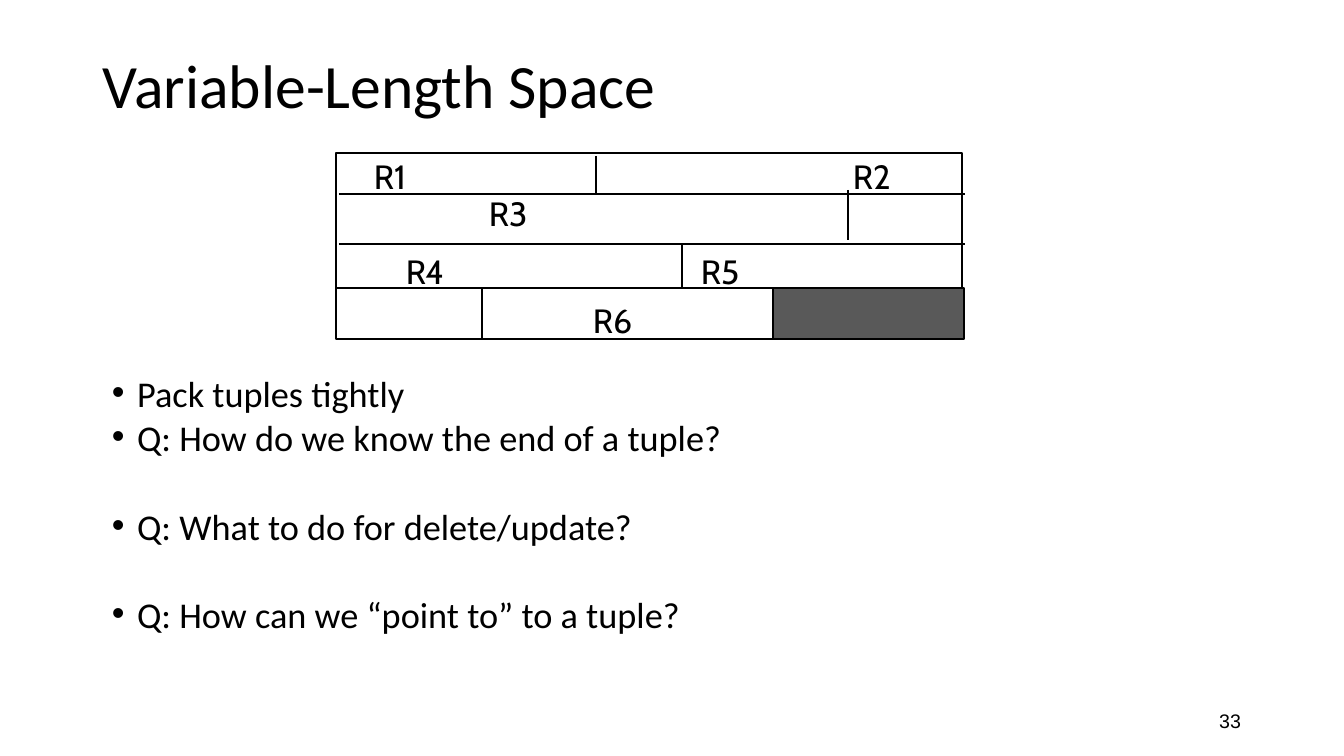
"""Builds the slide on variable-length space: packed records above three questions."""
from lxml import etree
from pptx import Presentation
from pptx import util as u
from pptx.dml.color import RGBColor
from pptx.enum import shapes, text
from pptx.oxml.ns import qn

BLACK, WHITE, GRAY = "000000", "FFFFFF", "595959"
TITLE = ("Variable-Length Space", (93, 34, 1159, 110))
PAGE_NUMBER = ("33", (949, 701, 302, 40))
QUESTIONS_BOX = (102, 378, 1024, 294)
QUESTIONS = [
    ("Pack tuples tightly", 0),
    ("Q: How do we know the end of a tuple?", 10),
    ("Q: What to do for delete/update?", 41.5),
    ("Q: How can we “point to” to a tuple?", 41.5),
]
PAGE = (336, 153, 626, 186)
FREE_SPACE = (773, 288, 191, 51)
ROW_LINES = [(339, 965, 194), (339, 965, 244), (337, 963, 288)]
RECORD_ENDS = [(596, 156, 194), (848, 190, 240), (682, 244, 288),
               (482, 288, 339), (773, 288, 339)]
RECORDS = [("R1", 364, 151), ("R2", 843, 151), ("R3", 479, 188),
           ("R4", 396, 246), ("R5", 691, 246), ("R6", 583, 295)]
RECORD_SIZE = (75, 50)


def px(length):
    return u.Emu(round(length * 914400 / 100.8))


def rgb(value):
    return RGBColor.from_string(value)


def add_rect(slide, place, fill):
    rect = slide.shapes.add_shape(shapes.MSO_SHAPE.RECTANGLE, *map(px, place))
    rect.shadow.inherit = False
    rect.fill.solid()
    rect.fill.fore_color.rgb = rgb(fill)
    rect.line.color.rgb = rgb(BLACK)
    rect.line.width = u.Pt(2)


def add_line(slide, *ends):
    line = slide.shapes.add_connector(shapes.MSO_CONNECTOR.STRAIGHT, *map(px, ends))
    line.line.color.rgb = rgb(BLACK)
    line.line.width = u.Pt(2)
    etree.SubElement(line._element.spPr, qn("a:effectLst"))


def add_frame(slide, place, anchor=text.MSO_ANCHOR.TOP):
    frame = slide.shapes.add_textbox(*map(px, place)).text_frame
    frame.word_wrap = True
    frame.vertical_anchor = anchor
    return frame


def write(paragraph, words, size, font):
    paragraph.text = words
    paragraph.font.size = u.Pt(size)
    paragraph.font.name = font
    paragraph.font.color.rgb = rgb(BLACK)


def add_bullet(paragraph):
    props = paragraph._p.get_or_add_pPr()
    props.set("marL", str(u.Inches(0.25)))
    props.set("indent", str(-u.Inches(0.25)))
    etree.SubElement(props, qn("a:buFont")).set("typeface", "Arial")
    etree.SubElement(props, qn("a:buChar")).set("char", "•")


def main():
    deck = Presentation()
    deck.slide_width, deck.slide_height = px(1344), px(756)
    slide = deck.slides.add_slide(deck.slide_layouts[6])

    words, place = PAGE_NUMBER
    number = add_frame(slide, place, text.MSO_ANCHOR.MIDDLE).paragraphs[0]
    write(number, words, 14, "Arial")
    number.alignment = text.PP_ALIGN.RIGHT

    words, place = TITLE
    title = add_frame(slide, place, text.MSO_ANCHOR.MIDDLE).paragraphs[0]
    write(title, words, 44, "Calibri")
    title.line_spacing = 0.9

    questions = add_frame(slide, QUESTIONS_BOX)
    for index, (words, gap) in enumerate(QUESTIONS):
        question = questions.add_paragraph() if index else questions.paragraphs[0]
        add_bullet(question)
        write(question, words, 25.9, "Calibri")
        question.line_spacing = 0.7
        question.space_before = u.Pt(gap)

    add_rect(slide, PAGE, WHITE)
    add_rect(slide, FREE_SPACE, GRAY)
    for left, right, y in ROW_LINES:
        add_line(slide, left, y, right, y)
    for x, top, bottom in RECORD_ENDS:
        add_line(slide, x, top, x, bottom)
    for name, left, top in RECORDS:
        record = add_frame(slide, (left, top, *RECORD_SIZE))
        write(record.paragraphs[0], name, 24, "Cabin")

    deck.save("out.pptx")


if __name__ == "__main__":
    main()
